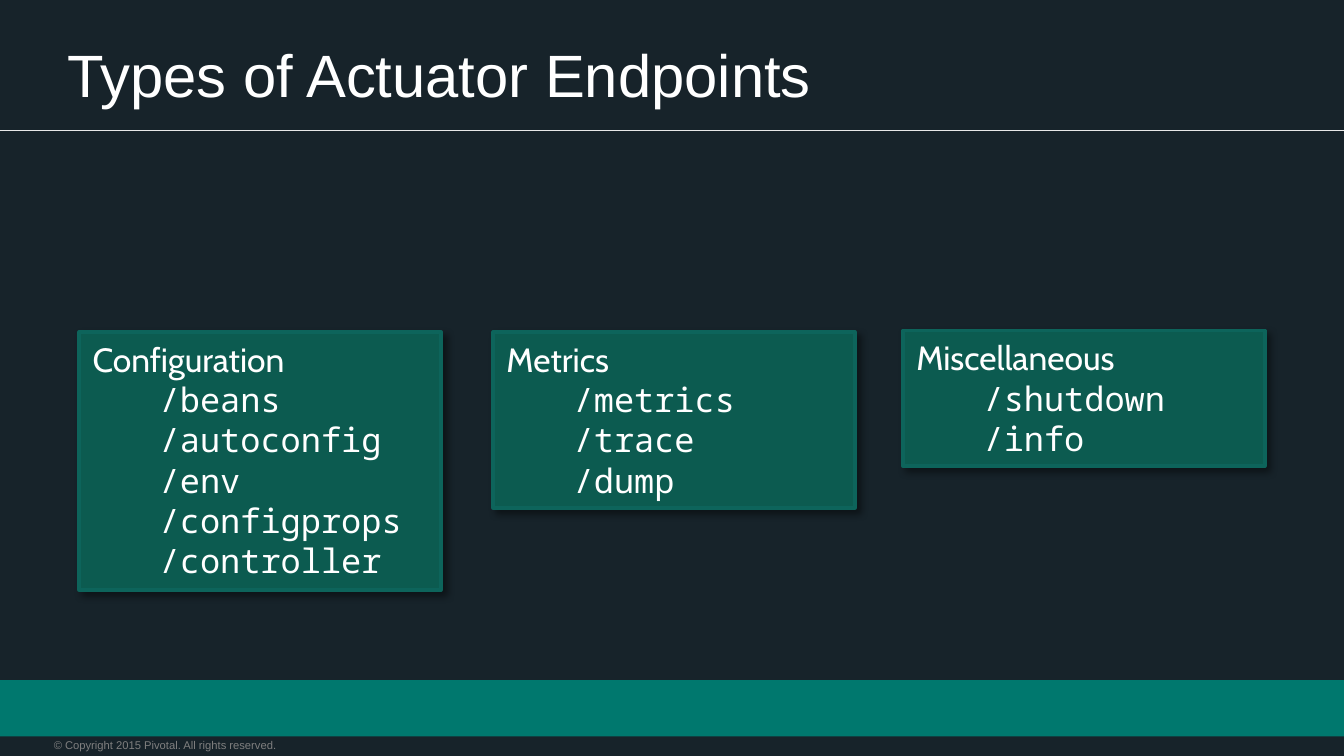
from lxml.etree import SubElement
from pptx import Presentation
from pptx.dml.color import RGBColor
from pptx.enum.shapes import MSO_CONNECTOR, MSO_SHAPE
from pptx.enum.text import MSO_ANCHOR, MSO_AUTO_SIZE, PP_ALIGN
from pptx.oxml import parse_xml
from pptx.oxml.ns import nsdecls, qn
from pptx.util import Inches, Pt

NIGHT = RGBColor(0x17, 0x23, 0x2A)
TEAL = RGBColor(0x00, 0x78, 0x6E)
GREEN = RGBColor(0x0C, 0x5B, 0x50)
EDGE = RGBColor(0x0D, 0x64, 0x5B)
WHITE = RGBColor(0xFF, 0xFF, 0xFF)
PALE = RGBColor(0xE8, 0xE8, 0xE8)
GRAY = RGBColor(0x7F, 0x7F, 0x7F)

SHADOW = f"""<a:effectLst {nsdecls('a')}>
  <a:outerShdw blurRad="{Pt(4)}" dist="{Pt(3)}" dir="2700000" algn="tl" rotWithShape="0">
    <a:srgbClr val="000000"><a:alpha val="43000"/></a:srgbClr>
  </a:outerShdw>
</a:effectLst>"""

# left, top, height, heading, endpoints
GROUPS = [
    (0.59, 2.47, 1.92, "Configuration",
     ["/beans", "/autoconfig", "/env", "/configprops", "/controller"]),
    (6.72, 2.46, 1.01, "Miscellaneous", ["/shutdown", "/info"]),
    (3.67, 2.47, 1.31, "Metrics", ["/metrics", "/trace", "/dump"]),
]


class Deck:
    head = "Arial"
    body = "Cabin"
    code = "Noto Sans Mono"

    def __init__(self, slide):
        self.slide = slide
        fill = slide.background.fill
        fill.solid()
        fill.fore_color.rgb = NIGHT

    def style(self, para, name, size, color):
        para.alignment = PP_ALIGN.LEFT
        for run in para.runs:
            run.font.name = name
            run.font.size = Pt(size)
            run.font.color.rgb = color

    def plain(self, shape, text, size, color):
        """Fill a shape with one line of text and no insets."""
        frame = shape.text_frame
        frame.auto_size = MSO_AUTO_SIZE.NONE
        frame.word_wrap = True
        frame.margin_left = frame.margin_right = 0
        frame.margin_top = frame.margin_bottom = 0
        frame.text = text
        self.style(frame.paragraphs[0], self.head, size, color)
        return frame

    def title(self, text, x, y, w, h):
        shape = self.slide.shapes.title
        shape.left, shape.top = Inches(x), Inches(y)
        shape.width, shape.height = Inches(w), Inches(h)
        frame = self.plain(shape, text, 32, WHITE)
        frame.vertical_anchor = MSO_ANCHOR.MIDDLE

    def label(self, text, x, y, w, h):
        shape = self.slide.shapes.add_textbox(
            Inches(x), Inches(y), Inches(w), Inches(h))
        self.plain(shape, text, 6, GRAY)

    def rect(self, x, y, w, h, color):
        shape = self.slide.shapes.add_shape(
            MSO_SHAPE.RECTANGLE, Inches(x), Inches(y), Inches(w), Inches(h))
        shape.fill.solid()
        shape.fill.fore_color.rgb = color
        shape.line.fill.background()
        shape.shadow.inherit = False
        return shape

    def rule(self, y):
        line = self.slide.shapes.add_connector(
            MSO_CONNECTOR.STRAIGHT, 0, Inches(y), Inches(10), Inches(y))
        line.line.color.rgb = PALE
        line.line.width = Pt(0.75)
        SubElement(line._element.spPr, qn("a:effectLst"))

    def card(self, x, y, h, name, items):
        """Draw a shadowed box with a heading and its indented endpoints."""
        shape = self.rect(x, y, 2.69, h, GREEN)
        shape.line.color.rgb = EDGE
        shape.line.width = Pt(2)
        props = shape._element.spPr
        props.replace(props.find(qn("a:effectLst")), parse_xml(SHADOW))

        frame = shape.text_frame
        frame.word_wrap = True
        frame.vertical_anchor = MSO_ANCHOR.TOP
        frame.text = name
        self.style(frame.paragraphs[0], self.body, 18, WHITE)
        for text in items:
            para = frame.add_paragraph()
            para.text = text
            para.level = 1
            para._p.get_or_add_pPr().set("marL", str(Inches(0.5)))
            self.style(para, self.code, 18, WHITE)


def main():
    prs = Presentation()
    prs.slide_width = Inches(10)
    prs.slide_height = Inches(10 * 9 / 16)
    deck = Deck(prs.slides.add_slide(prs.slide_layouts[5]))
    deck.rect(0, 5.06, 10, 0.42, TEAL)
    deck.label("© Copyright 2015 Pivotal. All rights reserved.",
               0.4, 5.49, 2.49, 0.1)
    deck.rule(0.97)
    deck.title("Types of Actuator Endpoints", 0.5, 0.35, 9, 0.4)
    for group in GROUPS:
        deck.card(*group)
    prs.save("out.pptx")


if __name__ == "__main__":
    main()
